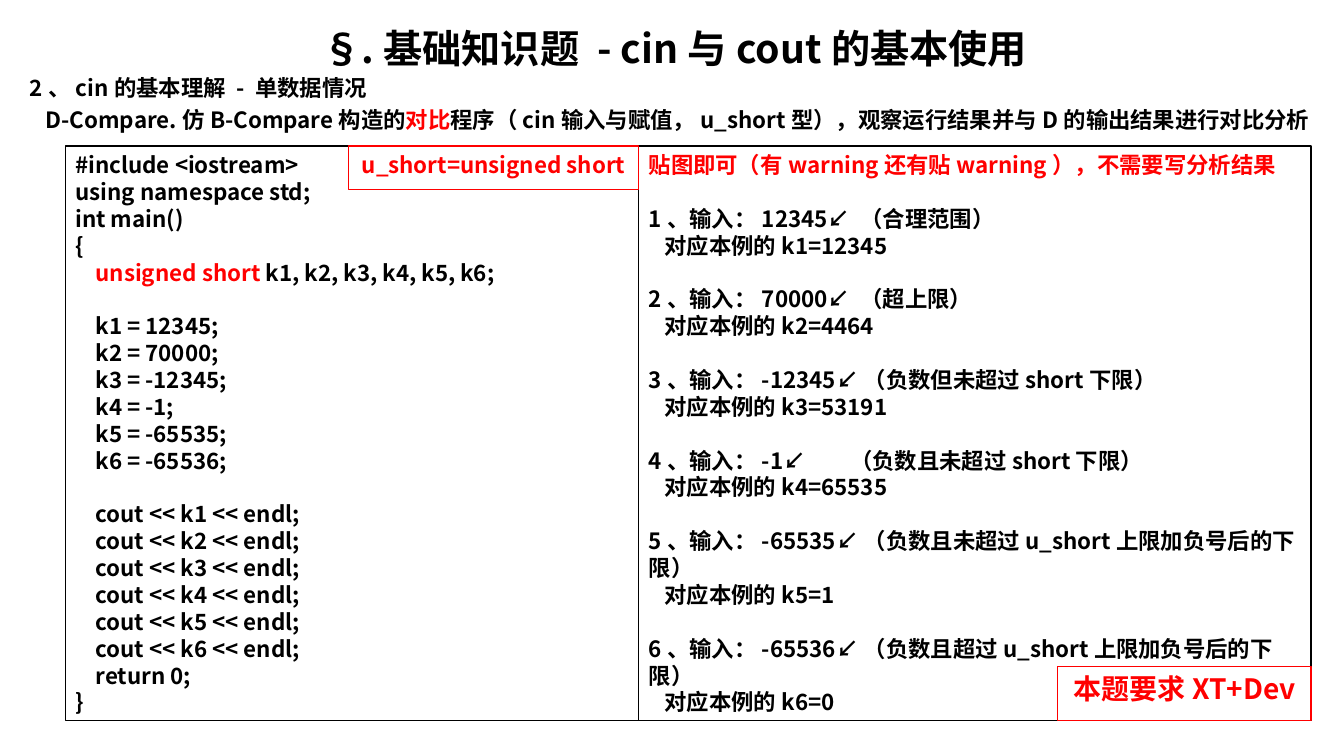
"""Build the slide comparing cin input with assignment for unsigned short."""
from pptx import Presentation
from pptx.dml.color import RGBColor
from pptx.enum.shapes import MSO_SHAPE as Shape
from pptx.enum.text import MSO_ANCHOR as Anchor, MSO_AUTO_SIZE as AutoSize, PP_ALIGN as Align
from pptx.oxml.ns import qn
from pptx.util import Cm, Pt

FONT, BLACK, RED = "Noto Sans CJK SC", "000000", "FF0000"
TITLE = "§.基础知识题 - cin与cout的基本使用"
HEADING = "2、cin的基本理解 - 单数据情况"
TASK = "D-Compare.仿B-Compare构造的|对比|程序（cin输入与赋值，u_short型），观察运行结果并与D的输出结果进行对比分析"
NOTICE = "|贴图即可（有warning还有贴warning），不需要写分析结果|"
TYPE_TAG = "u_short=unsigned short"
TOOL_TAG = "本题要求XT+Dev"
CASES = [
    ("12345", " （合理范围）", "12345"),
    ("70000", " （超上限）", "4464"),
    ("-12345", "（负数但未超过short下限）", "53191"),
    ("-1", "\t（负数且未超过short下限）", "65535"),
    ("-65535", "（负数且未超过u_short上限加负号后的下限）", "1"),
    ("-65536", "（负数且超过u_short上限加负号后的下限）", "0"),
]
CODE = [
    ["#include <iostream>", "using namespace std;", "int main()", "{",
     "    |unsigned short| k1, k2, k3, k4, k5, k6;"],
    [f"    k{n} = {case[0]};" for n, case in enumerate(CASES, 1)],
    [f"    cout << k{n} << endl;" for n in range(1, 7)] + ["    return 0;", "}"],
]
INPUTS = [[NOTICE]] + [
    [f"{n}、输入：{value}↙{remark}", f"对应本例的k{n}={result}"]
    for n, (value, remark, result) in enumerate(CASES, 1)]

LEFT, MIDDLE, RIGHT = 1.65, 16.1, 33.04
TOP, BOTTOM = 3.68, 18.16
INDENT, TAB = 0.4, 3.95
LINE = 19.2


def rgb(value):
    return RGBColor.from_string(value)


def apply(target, **values):
    for name, value in values.items():
        setattr(target, name, value)


def place(sp, left, top, width, height):
    apply(sp, left=Cm(left), top=Cm(top), width=Cm(width), height=Cm(height))


def write(p, text, size=16, color=BLACK, align=Align.LEFT, before=0, indent=0):
    pPr = p._p.get_or_add_pPr()
    pPr.set("marL", str(Cm(indent)))
    pPr.set("indent", "0")
    apply(p, alignment=align, space_before=Pt(before), space_after=Pt(0),
          line_spacing=Pt(LINE * size / 16))
    pPr.append(pPr.makeelement(qn("a:buNone"), {}))
    if "\t" in text:
        tabs = pPr.makeelement(qn("a:tabLst"), {})
        tabs.append(tabs.makeelement(qn("a:tab"), {"pos": str(Cm(TAB)), "algn": "l"}))
        pPr.append(tabs)
    for i, part in enumerate(text.split("|")):
        if part:
            r = p.add_run()
            r.text = part
            apply(r.font, size=Pt(size), bold=True, name=FONT)
            r.font.color.rgb = rgb(RED if i % 2 else color)
            rPr = r._r.get_or_add_rPr()
            rPr.append(rPr.makeelement(qn("a:ea"), {"typeface": FONT}))


def frame(sp, anchor=Anchor.TOP):
    tf = sp.text_frame
    apply(tf, word_wrap=True, auto_size=AutoSize.NONE, vertical_anchor=anchor,
          margin_left=Cm(0.25), margin_right=Cm(0.25),
          margin_top=Cm(0.13), margin_bottom=Cm(0.13))
    return tf


def box(s, left, top, right, bottom, color):
    sp = s.shapes.add_shape(Shape.RECTANGLE, Cm(left), Cm(top),
                            Cm(right - left), Cm(bottom - top))
    sp.shadow.inherit = False
    sp.fill.background()
    sp.line.color.rgb = rgb(color)
    sp.line.width = Pt(0.75)
    return frame(sp)


def panel(s, left, right, blocks):
    tf = box(s, left, TOP, right, BOTTOM, BLACK)
    for b, block in enumerate(blocks):
        for i, text in enumerate(block):
            p = tf.add_paragraph() if b or i else tf.paragraphs[0]
            write(p, text, before=LINE if b and not i else 0,
                  indent=INDENT if text.startswith("对应") else 0)


def main():
    prs = Presentation()
    apply(prs, slide_width=Cm(33.87), slide_height=Cm(19.05))
    s = prs.slides.add_slide(prs.slide_layouts[1])
    title, body = s.placeholders
    place(title, 0.5, 0.45, 33, 1.5)
    write(frame(title, Anchor.MIDDLE).paragraphs[0], TITLE, size=28, align=Align.CENTER)
    place(body, 0.5, 1.74, 33, 1.8)
    tf = frame(body)
    write(tf.paragraphs[0], HEADING)
    write(tf.add_paragraph(), TASK, before=3.4, indent=INDENT)

    panel(s, LEFT, MIDDLE, CODE)
    panel(s, MIDDLE, RIGHT, INPUTS)
    tags = [
        (TOOL_TAG, 20, (RIGHT - 6.38, BOTTOM - 1.37, RIGHT, BOTTOM)),
        (TYPE_TAG, 16, (MIDDLE - 7.32, TOP, MIDDLE, TOP + 1.09)),
    ]
    for text, size, edges in tags:
        tf = box(s, *edges, RED)
        write(tf.paragraphs[0], text, size=size, color=RED, align=Align.CENTER)
    prs.save("out.pptx")


if __name__ == "__main__":
    main()
